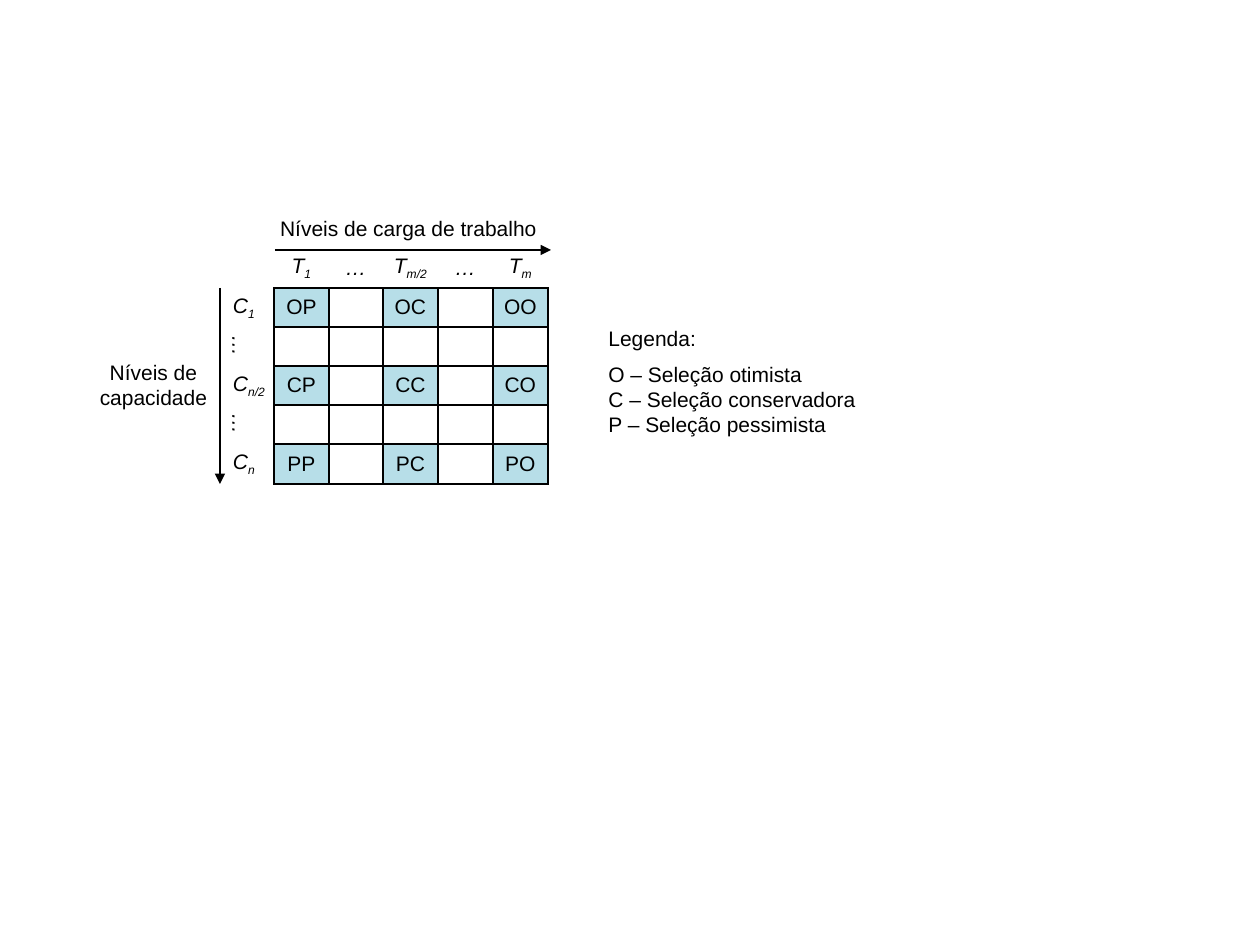
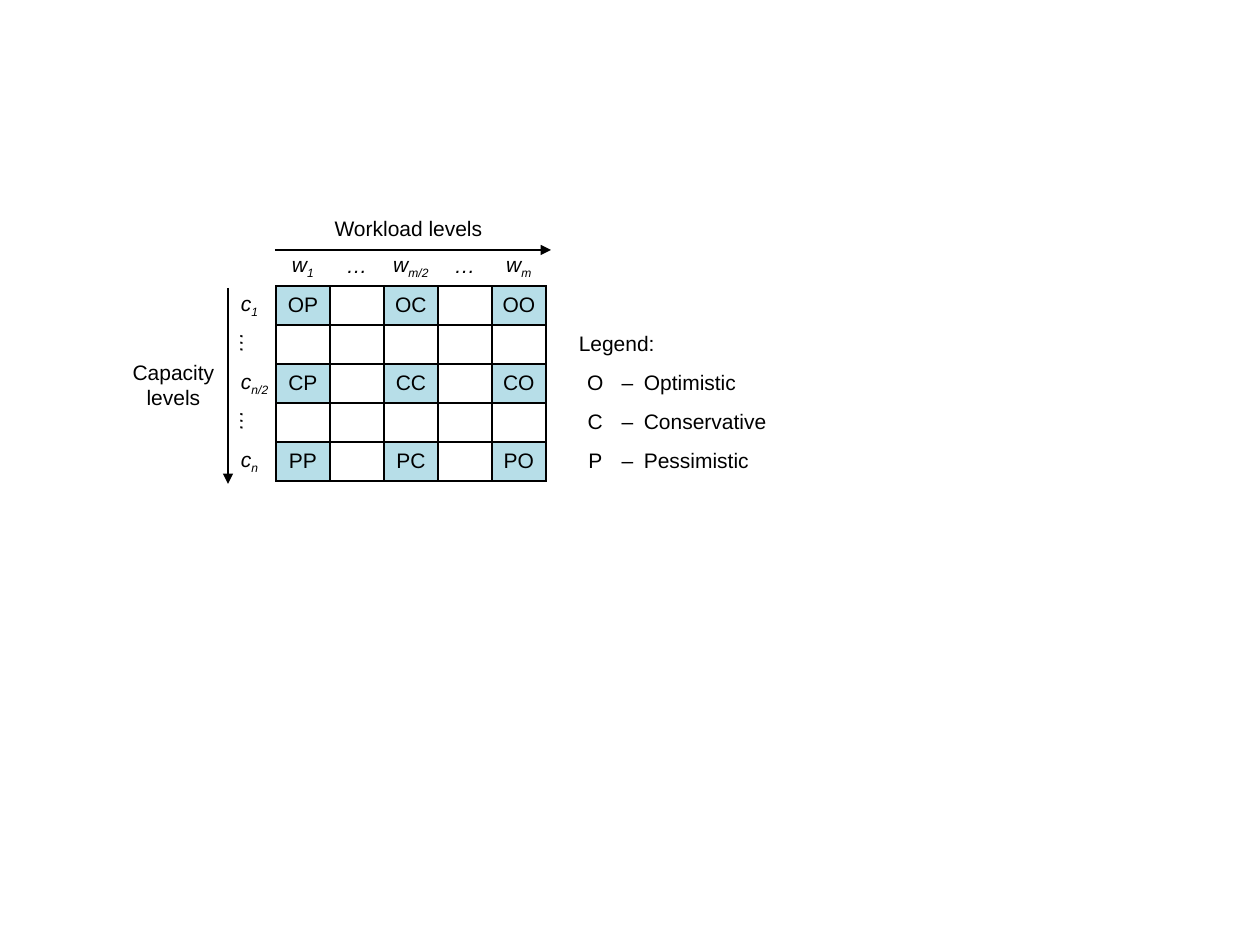
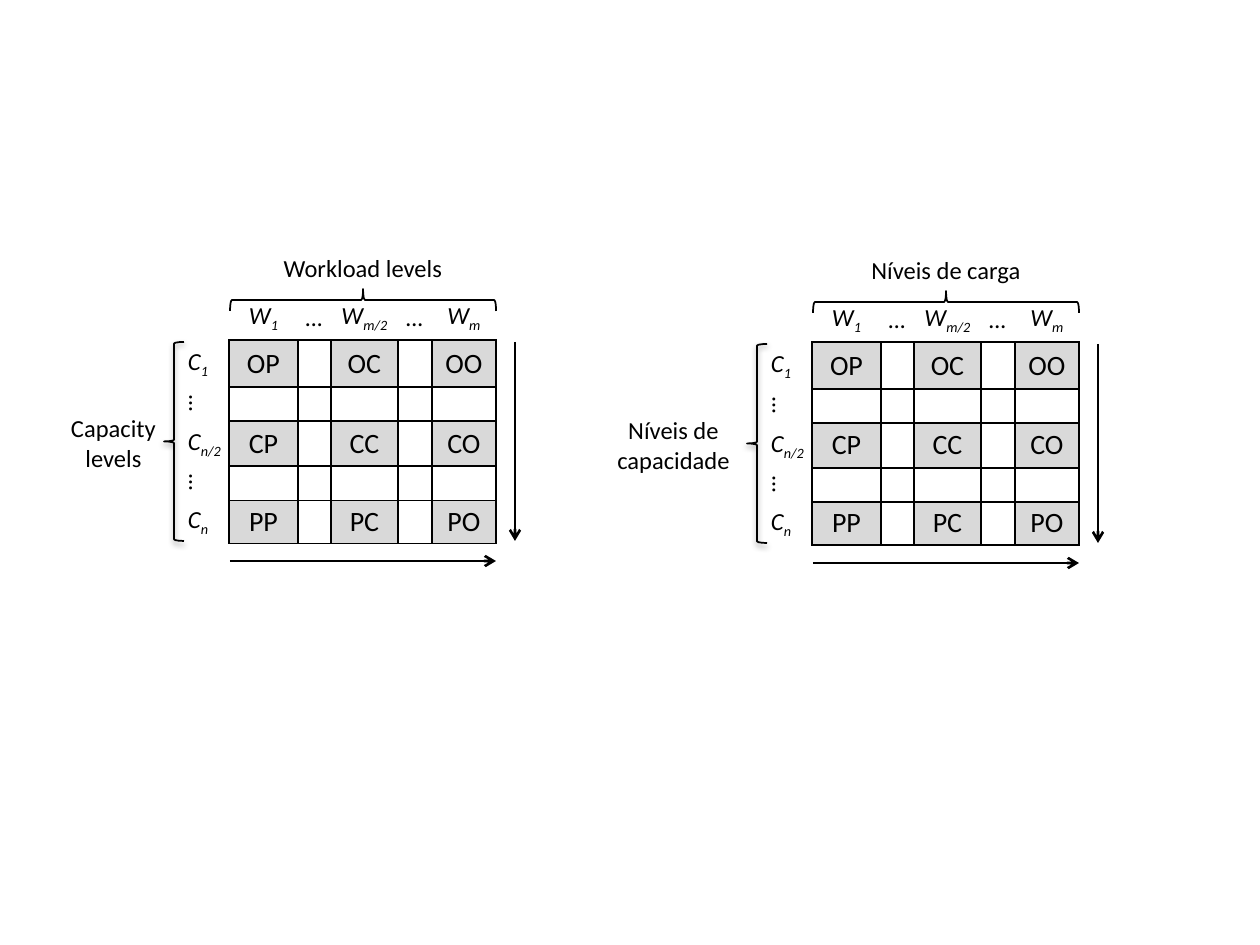
"""Build three slides of workload and capacity grids."""
import dataclasses

import lxml.etree
import pptx
import pptx.dml.color
import pptx.enum.shapes
import pptx.enum.text
import pptx.oxml.ns
import pptx.util

Pt = pptx.util.Pt
qn = pptx.oxml.ns.qn
ALIGN = pptx.enum.text.PP_ALIGN
SIDES = "LRTB"
PLAIN = "{2D5ABB26-0587-4C30-8999-92F81FD0307C}"


@dataclasses.dataclass(frozen=True)
class Theme:
    font: str = "Arial"
    ink: str = "000000"
    tint: str = "B7DEE8"
    label: int = 12
    mark: int = 12
    rule: float = 1
    arrow: float = 1
    head: str = "triangle"


BLUE = Theme()
GRAY = Theme(font="Calibri", tint="D9D9D9", label=14, mark=16, arrow=1.5, head="arrow")


def px(n):
    return pptx.util.Emu(round(n * 914400 / 126))


def rgb(code):
    return pptx.dml.color.RGBColor.from_string(code)


def add(parent, tag, **attrs):
    return lxml.etree.SubElement(parent, qn("a:" + tag), **attrs)


class Deck:
    def __init__(self):
        self.show = pptx.Presentation()
        self.show.slide_width, self.show.slide_height = px(1260), px(945)

    def page(self, theme):
        self.theme = theme
        self.slide = self.show.slides.add_slide(self.show.slide_layouts[6])
        self.shapes = self.slide.shapes

    def label(self, para, text, size, align=ALIGN.CENTER, italic=False):
        main, _, sub = text.partition("_")
        para.text = main
        para.alignment = align
        if sub:
            run = para.add_run()
            run.text = sub
            run.font._element.set("baseline", "-25000")
        for run in para.runs:
            run.font.name = self.theme.font
            run.font.size = Pt(size)
            run.font.italic = italic
            run.font.color.rgb = rgb(self.theme.ink)

    def text(self, x, y, w, h, lines, align=ALIGN.CENTER, wrap=True):
        box = self.shapes.add_textbox(px(x), px(y), px(w), px(h))
        frame = box.text_frame
        frame.word_wrap = wrap
        frame.auto_size = pptx.enum.text.MSO_AUTO_SIZE.SHAPE_TO_FIT_TEXT
        frame.text = "\n".join(lines)
        for para, line in zip(frame.paragraphs, lines):
            self.label(para, line, self.theme.label, align)
        return box

    def arrow(self, x1, y1, x2, y2):
        kind = pptx.enum.shapes.MSO_CONNECTOR.STRAIGHT
        line = self.shapes.add_connector(kind, px(x1), px(y1), px(x2), px(y2))
        line.line.color.rgb = rgb(self.theme.ink)
        line.line.width = Pt(self.theme.arrow)
        add(line.line._get_or_add_ln(), "tailEnd", type=self.theme.head)
        add(line._element.spPr, "effectLst")

    def brace(self, x, y, w, h, turn=0, shade=False):
        kind = pptx.enum.shapes.MSO_SHAPE.LEFT_BRACE
        shape = self.shapes.add_shape(kind, px(x), px(y), px(w), px(h))
        shape.rotation = turn
        shape.fill.background()
        shape.line.color.rgb = rgb(self.theme.ink)
        shape.line.width = Pt(self.theme.rule)
        shape.shadow.inherit = False
        if shade:
            glow = add(shape._element.spPr.find(qn("a:effectLst")), "outerShdw",
                       blurRad="40000", dist="20000", dir="5400000", rotWithShape="0")
            add(add(glow, "srgbClr", val=self.theme.ink), "alpha", val="38000")

    def cell(self, cell, edges="", text="", size=None, align=ALIGN.CENTER,
             italic=False, tint=None):
        size = size or self.theme.label
        cell.margin_left = cell.margin_right = px(5)
        cell.margin_top = cell.margin_bottom = 0
        cell.vertical_anchor = pptx.enum.text.MSO_ANCHOR.MIDDLE
        para = cell.text_frame.paragraphs[0]
        if text:
            self.label(para, text, size, align, italic)
        else:
            add(para._p, "endParaRPr", sz=str(size * 100))
        props = cell._tc.get_or_add_tcPr()
        for side in SIDES:
            line = add(props, "ln" + side, w=str(Pt(self.theme.rule)))
            if side in edges:
                add(add(line, "solidFill"), "srgbClr", val=self.theme.ink)
            else:
                add(line, "noFill")
        if tint:
            cell.fill.solid()
            cell.fill.fore_color.rgb = rgb(tint)
        else:
            cell.fill.background()

    def matrix(self, x, y, cols, rows, top, side):
        frame = self.shapes.add_table(len(rows), len(cols), px(x), px(y),
                                      px(sum(cols)), px(sum(rows)))
        table = frame.table
        table.first_row = table.horz_banding = False
        table._tbl.tblPr.find(qn("a:tableStyleId")).text = PLAIN
        for part, size in zip(table.columns, cols):
            part.width = px(size)
        for part, size in zip(table.rows, rows):
            part.height = px(size)
        self.cell(table.cell(0, 0))
        ends = ["_1", "", "_{}/2", "", "_{}"]
        for i, end in enumerate(ends, 1):
            head = top + end.format("m") if end else "…"
            name = side + end.format("n") if end else "…"
            self.cell(table.cell(0, i), "B", head, italic=True)
            self.cell(table.cell(i, 0), "R", name, italic=True,
                      align=ALIGN.LEFT if end else ALIGN.CENTER)
            if not end:
                table.cell(i, 0)._tc.get_or_add_tcPr().set("vert", "vert")
            for j in range(1, 6):
                if i % 2 and j % 2:
                    pair = "OCP"[i // 2] + "PCO"[j // 2]
                    self.cell(table.cell(i, j), SIDES, pair, self.theme.mark,
                              tint=self.theme.tint)
                else:
                    self.cell(table.cell(i, j), SIDES, size=self.theme.mark)
        return table

    def legend(self, table, title, items):
        for row in range(6):
            for col in range(6, 9):
                edge = "L" if col == 6 and row else ""
                text, align = "", ALIGN.LEFT
                if row == 2 and col == 7:
                    text = title
                elif row > 2 and col == 7:
                    text, align = items[row - 3][0], ALIGN.CENTER
                elif row > 2 and col == 8:
                    text = "–\u2002" + items[row - 3]
                self.cell(table.cell(row, col), edge, text, align=align)
        for row in (1, 2):
            table.cell(row, 7).merge(table.cell(row, 8))


deck = Deck()

deck.page(BLUE)
deck.matrix(228, 248, [46, 55, 54, 55, 55, 55], [40, 39, 39, 39, 39, 40], "T", "C")
deck.text(71, 353, 165, 63, ["Níveis de capacidade"])
deck.text(260, 209, 297, 38, ["Níveis de carga de trabalho"])
title = deck.text(596, 319, 120, 38, ["Legenda:"], ALIGN.LEFT)
body = deck.text(596, 355, 276, 89, ["O – Seleção otimista", "C – Seleção conservadora",
                                     "P – Seleção pessimista"], ALIGN.LEFT)
deck.shapes.add_group_shape([title, body])
deck.arrow(275, 250, 551, 250)
deck.arrow(220, 288, 220, 484)

deck.page(BLUE)
deck.text(91, 353, 165, 63, ["Capacity levels"])
deck.text(260, 209, 297, 38, ["Workload levels"])
deck.arrow(275, 250, 551, 250)
deck.arrow(228, 288, 228, 484)
grid = deck.matrix(236, 247, [40] + [54] * 5 + [28, 43, 163], [39] * 6, "w", "c")
deck.legend(grid, "Legend:", ["Optimistic", "Conservative", "Pessimistic"])

deck.page(GRAY)
for x, y, top, side, left, width, wrap in [
        (183, 296, "Workload levels", "Capacity\vlevels", 58, 111, False),
        (766, 298, "Níveis de carga", "Níveis de capacidade", 591, 165, True)]:
    deck.matrix(x, y, [46, 69, 33, 67, 34, 64], [44, 47, 34, 45, 34, 43], "W", "C")
    deck.arrow(x + 47, y + 265, x + 313, y + 265)
    deck.arrow(x + 332, y + 46, x + 332, y + 245)
    deck.brace(x - 19, y + 46, 20, 199, shade=True)
    deck.brace(x + 169, y - 129, 22, 266, turn=90)
    deck.text(left, y + 111, width, 72, [side], wrap=wrap)
    deck.text(x + 87, y - 49, 186, 43, [top], wrap=False)

deck.show.save("out.pptx")
